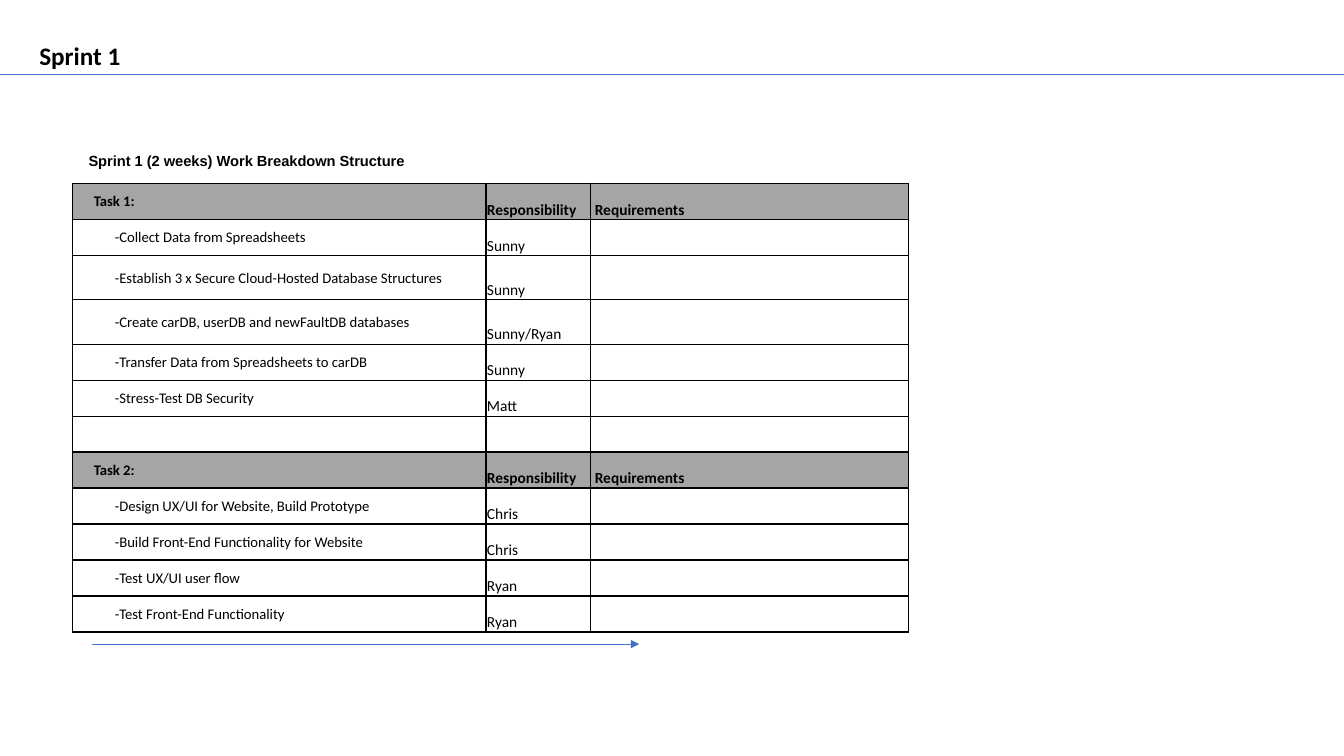
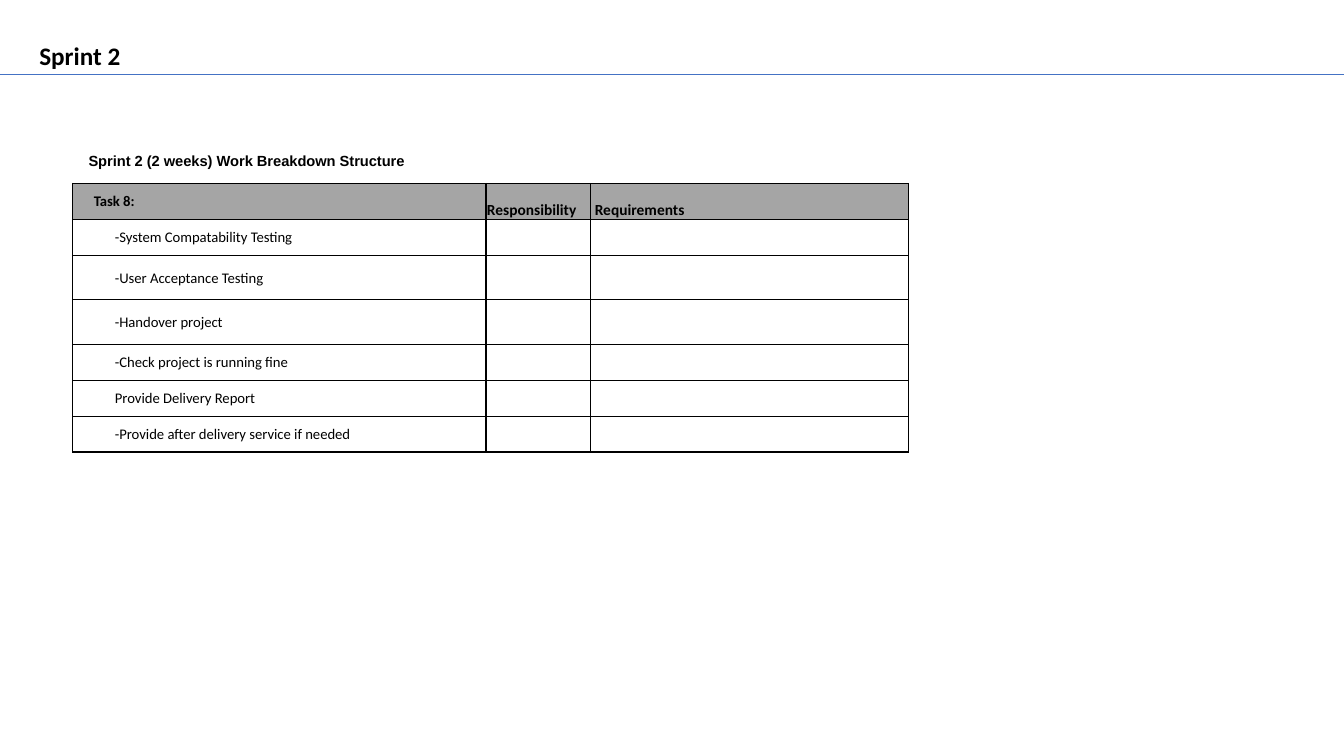
from dataclasses import dataclass

from lxml import etree
from pptx import Presentation
from pptx.dml.color import RGBColor
from pptx.enum.shapes import MSO_CONNECTOR
from pptx.enum.text import MSO_ANCHOR, MSO_AUTO_SIZE, PP_ALIGN
from pptx.oxml import parse_xml
from pptx.oxml.ns import nsdecls, qn
from pptx.util import Inches, Pt

STRAIGHT = MSO_CONNECTOR.STRAIGHT
TOP, MIDDLE, BOTTOM = MSO_ANCHOR.TOP, MSO_ANCHOR.MIDDLE, MSO_ANCHOR.BOTTOM
GROW = MSO_AUTO_SIZE.SHAPE_TO_FIT_TEXT
LEFT = PP_ALIGN.LEFT


@dataclass(frozen=True)
class Theme:
    ink: str = "000000"
    band: str = "A5A5A5"
    rule: str = "4472C4"
    font: str = "Calibri"
    label: str = "Arial"
    title: float = 18
    task: float = 10.5
    cell: float = 11
    thin: float = 0.5
    border: float = 1


theme = Theme()


def write(frame, text, size, font=theme.font, bold=False, indent=0, bullet=False):
    para = frame.paragraphs[0]
    para.alignment = LEFT
    props = para._p.get_or_add_pPr()
    props.set("marL", str(Inches(indent)))
    props.set("indent", "0")
    if bullet:
        color = parse_xml(
            f'<a:buClr {nsdecls("a")}><a:srgbClr val="{theme.ink}"/></a:buClr>')
        props.append(color)
        etree.SubElement(props, qn("a:buFont"), typeface=font)
        etree.SubElement(props, qn("a:buChar"), char="-")
    run = para.add_run()
    run.text = text
    run.font.size = Pt(size)
    run.font.name = font
    run.font.bold = bold
    run.font.color.rgb = RGBColor.from_string(theme.ink)


def draw(slide, start, end, y, arrow=False):
    line = slide.shapes.add_connector(
        STRAIGHT, Inches(start), Inches(y), Inches(end), Inches(y))
    line.line.color.rgb = RGBColor.from_string(theme.rule)
    line.line.width = Pt(theme.thin)
    if arrow:
        etree.SubElement(line.line._get_or_add_ln(), qn("a:tailEnd"), type="triangle")
    etree.SubElement(line._element.spPr, qn("a:effectLst"))


sprints = [
    ("Sprint 1", True, [
        ("Task 1:", "Responsibility", "Requirements"),
        ("-Collect Data from Spreadsheets", "Sunny", ""),
        ("-Establish 3 x Secure Cloud-Hosted Database Structures", "Sunny", ""),
        ("-Create carDB, userDB and newFaultDB databases", "Sunny/Ryan", ""),
        ("-Transfer Data from Spreadsheets to carDB", "Sunny", ""),
        ("-Stress-Test DB Security", "Matt", ""),
        ("", "", ""),
        ("Task 2:", "Responsibility", "Requirements"),
        ("-Design UX/UI for Website, Build Prototype", "Chris", ""),
        ("-Build Front-End Functionality for Website", "Chris", ""),
        ("-Test UX/UI user flow", "Ryan", ""),
        ("-Test Front-End Functionality", "Ryan", ""),
    ]),
    ("Sprint 2", False, [
        ("Task 8:", "Responsibility", "Requirements"),
        ("-System Compatability Testing", "", ""),
        ("-User Acceptance Testing", "", ""),
        ("-Handover project", "", ""),
        ("-Check project is running fine", "", ""),
        ("Provide Delivery Report", "", ""),
        ("-Provide after delivery service if needed", "", ""),
    ]),
]
widths = [Inches(4.1), Inches(1.04), Inches(3.15)]
tall = Inches(0.44)
low = Inches(2.5) // 7

deck = Presentation()
deck.slide_width, deck.slide_height = Inches(13.33), Inches(7.5)

for name, arrow, rows in sprints:
    slide = deck.slides.add_slide(deck.slide_layouts[5])
    title = slide.shapes.title
    title.left, title.top = Inches(0.29), Inches(0.35)
    title.width, title.height = Inches(2.5), Inches(1.01)
    title.text_frame.word_wrap = True
    title.text_frame.auto_size = GROW
    title.text_frame.vertical_anchor = TOP
    write(title.text_frame, name, theme.title, bold=True)
    draw(slide, 0, 13.33, 0.74)

    label = slide.shapes.add_textbox(
        Inches(0.53), Inches(1.46), Inches(5.7), Inches(0.63))
    label.text_frame.word_wrap = True
    label.text_frame.auto_size = GROW
    write(label.text_frame, f"{name} (2 weeks) Work Breakdown Structure",
          theme.task, font=theme.label, bold=True, indent=0.25)
    if arrow:
        draw(slide, 0.91, 6.34, 6.39, arrow=True)

    heights = [tall if index in (2, 3) else low for index in range(len(rows))]
    table = slide.shapes.add_table(
        len(rows), len(widths), Inches(0.72), Inches(1.82),
        sum(widths), sum(heights)).table
    table.first_row = table.horz_banding = False
    for column, width in zip(table.columns, widths):
        column.width = width
    for index, (texts, height) in enumerate(zip(rows, heights)):
        table.rows[index].height = height
        head = texts[0].startswith("Task")
        insets = (0.21 if head else 0.42, 0.01, 0.04)
        for place, (text, inset) in enumerate(zip(texts, insets)):
            cell = table.cell(index, place)
            cell.margin_left = Inches(inset)
            cell.margin_top = cell.margin_right = Inches(0.01)
            cell.margin_bottom = 0
            cell.vertical_anchor = BOTTOM if place else MIDDLE
            props = cell._tc.get_or_add_tcPr()
            for side in ("lnL", "lnR", "lnT", "lnB"):
                props.append(parse_xml(
                    f'<a:{side} {nsdecls("a")} w="{Pt(theme.border)}">'
                    f'<a:solidFill><a:srgbClr val="{theme.ink}"/></a:solidFill>'
                    f'</a:{side}>'))
            if head:
                cell.fill.solid()
                cell.fill.fore_color.rgb = RGBColor.from_string(theme.band)
            else:
                cell.fill.background()
            if text:
                write(cell.text_frame, text.removeprefix("-"),
                      theme.cell if place else theme.task,
                      bold=head, bullet=text.startswith("-"))

deck.save("out.pptx")
